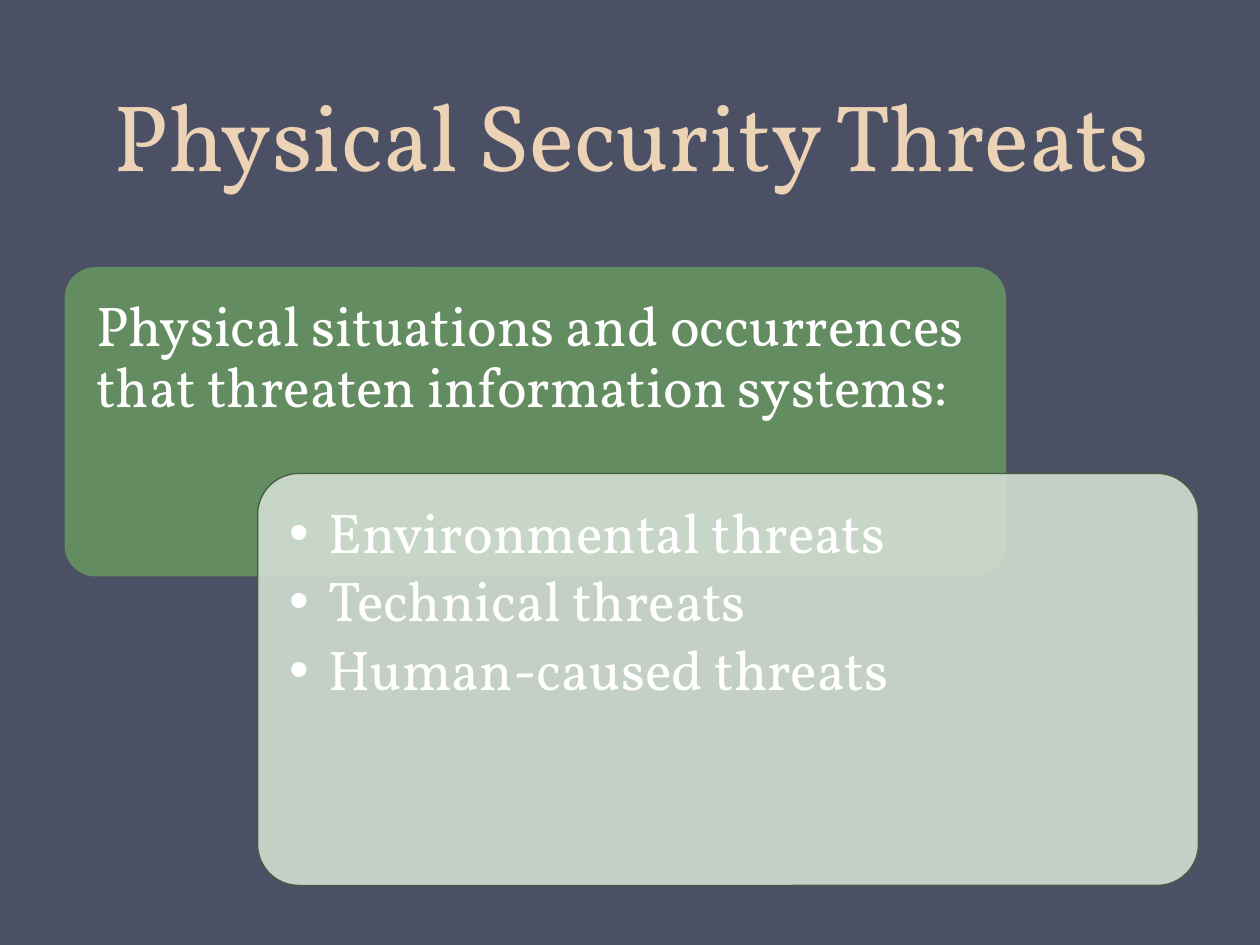
from lxml.etree import SubElement
from pptx import Presentation
from pptx.dml.color import RGBColor
from pptx.enum.shapes import MSO_SHAPE
from pptx.enum.text import MSO_ANCHOR, MSO_AUTO_SIZE, PP_ALIGN
from pptx.oxml.ns import qn
from pptx.util import Pt

COLORS = {
    "background": "4B5064",
    "title": "EDD3B6",
    "text": "FFFFFF",
    "green": "648C61",
    "pale": "D2DFD1",
    "outline": "435E40",
}
SIDES = ("left", "top", "width", "height")
MARGINS = ("margin_left", "margin_top", "margin_right", "margin_bottom")


class SlideBuilder:
    """Holds the style and the current slide."""

    font = "Vollkorn"

    def __init__(self, prs):
        self.s = prs.slides.add_slide(prs.slide_layouts[1])
        fill = self.s.background.fill
        fill.solid()
        fill.fore_color.rgb = self.color("background")

    def color(self, name):
        return RGBColor.from_string(COLORS[name])

    def place(self, sp, box):
        for side, value in zip(SIDES, box):
            setattr(sp, side, Pt(value))

    def set_text(self, sp, lines, size, color, anchor, insets, **formats):
        tf = sp.text_frame
        tf.word_wrap = True
        tf.auto_size = MSO_AUTO_SIZE.NONE
        tf.vertical_anchor = anchor
        for margin, value in zip(MARGINS, insets):
            setattr(tf, margin, Pt(value))
        tf.text = "\n".join(lines)
        for p in tf.paragraphs:
            for key, value in formats.items():
                setattr(p, key, value)
            for r in p.runs:
                r.font.name = self.font
                r.font.size = Pt(size)
                r.font.color.rgb = self.color(color)

    def title(self, text, box):
        sp = self.s.shapes.title
        self.place(sp, box)
        self.set_text(sp, [text], 54, "title", MSO_ANCHOR.BOTTOM, (7.2, 3.6, 7.2, 3.6),
                      alignment=PP_ALIGN.CENTER, line_spacing=Pt(58))

    def card(self, box, fill, alpha=None, line=None):
        sp = self.s.shapes.add_shape(MSO_SHAPE.ROUNDED_RECTANGLE, *map(Pt, box))
        sp.adjustments[0] = 0.1
        sp.shadow.inherit = False
        sp.fill.solid()
        sp.fill.fore_color.rgb = self.color(fill)
        if alpha:
            clr = sp._element.spPr.find(qn("a:solidFill"))[0]
            SubElement(clr, qn("a:alpha"), val=str(alpha * 1000))
        if line:
            sp.line.color.rgb = self.color(line)
            sp.line.width = Pt(0.75)
        else:
            sp.line.fill.background()

    def text(self, text, box):
        sp = self.s.shapes.add_textbox(*map(Pt, box))
        self.set_text(sp, [text], 32, "text", MSO_ANCHOR.TOP, (18, 18, 18, 9),
                      line_spacing=0.9)

    def bullets(self, lines, box):
        sp = self.s.placeholders[1]
        self.place(sp, box)
        self.set_text(sp, lines, 32, "text", MSO_ANCHOR.TOP, (18, 18, 18, 18), level=1,
                      alignment=PP_ALIGN.LEFT, line_spacing=0.9, space_before=Pt(0),
                      space_after=Pt(4.5))
        for p in sp.text_frame.paragraphs:
            pPr = p._p.get_or_add_pPr()
            pPr.set("marL", str(Pt(22.5)))
            pPr.set("indent", str(Pt(-22.5)))
            SubElement(pPr, qn("a:buFont"), typeface="Arial")
            SubElement(pPr, qn("a:buChar"), char="•")
        self.s.shapes._spTree.append(sp._element)


def main():
    prs = Presentation()
    prs.slide_width, prs.slide_height = Pt(720), Pt(540)
    b = SlideBuilder(prs)
    b.title("Physical Security Threats", (36.72, -13.68, 648, 126))
    b.card((36.9, 152.6, 538, 176.8), "green")
    b.text("Physical situations and occurrences that threaten information systems:",
           (36.9, 152.6, 538, 118))
    threats = (147.2, 270.6, 537.6, 235.4)
    b.card(threats, "pale", alpha=90, line="outline")
    b.bullets(["Environmental threats", "Technical threats", "Human-caused threats"],
              threats)
    prs.save("out.pptx")


if __name__ == "__main__":
    main()
